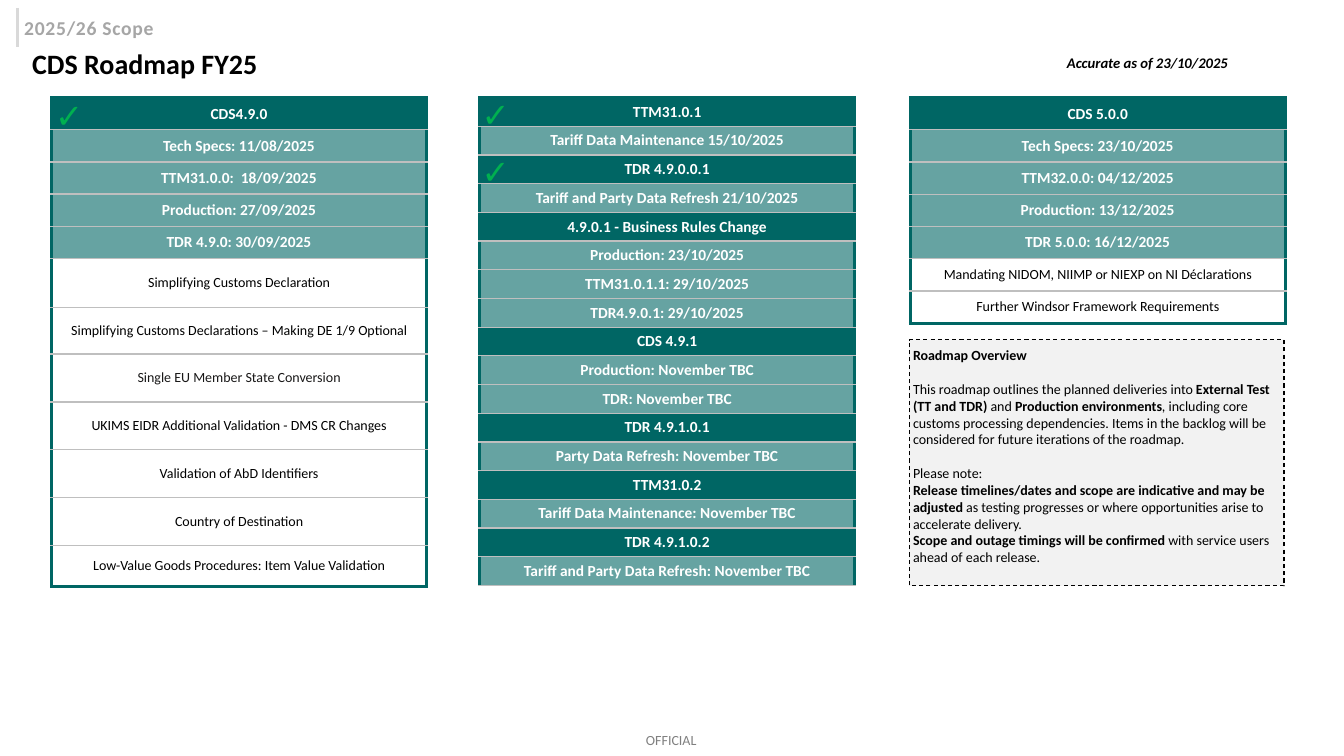
from dataclasses import dataclass, field
from typing import NamedTuple

from lxml.etree import SubElement
from pptx import Presentation
from pptx.dml.color import RGBColor
from pptx.dml.fill import FillFormat
from pptx.enum.dml import MSO_LINE
from pptx.enum.shapes import MSO_CONNECTOR, MSO_SHAPE
from pptx.enum.text import MSO_ANCHOR as Anchor, MSO_AUTO_SIZE as AutoSize, PP_ALIGN as Align
from pptx.oxml.ns import qn
from pptx.slide import Slide
from pptx.table import _Cell as Cell
from pptx.util import Cm, Pt

TEAL, GREY, BLACK, WHITE = "006664", "BFBFBF", "000000", "FFFFFF"
TABLE_TOP, TABLE_WIDTH = 2.46, 9.45
NO_INSETS = dict(margin_left=0, margin_top=0, margin_right=0, margin_bottom=0)


@dataclass
class Label:
    text: str
    left: float
    top: float
    width: float
    height: float
    colour: str
    font: dict
    opacity: int = 100
    spacing: int = 0
    frame: dict = field(default_factory=dict)


class RowStyle(NamedTuple):
    fill: str
    opacity: int
    colour: str
    font: dict


class Row(NamedTuple):
    style: str
    text: str


@dataclass
class Release:
    left: float
    heights: list[float]
    closed: bool
    rows: list[Row]


class Run(NamedTuple):
    text: str
    bold: bool = False


BOLD_ROW = dict(size=Pt(11), bold=True)
ITEM_ROW = dict(size=Pt(10), bold=False)
STYLES = {
    "heading": RowStyle(TEAL, 100, WHITE, BOLD_ROW),
    "date": RowStyle(TEAL, 60, WHITE, BOLD_ROW),
    "item": RowStyle(WHITE, 100, BLACK, ITEM_ROW),
    "soft item": RowStyle(WHITE, 100, "181717", ITEM_ROW),
}

LABELS = [
    Label("OFFICIAL", 16.28, 18.44, 1.35, 0.43, BLACK, dict(size=Pt(10)), opacity=50, frame=NO_INSETS),
    Label("2025/26 Scope", 0.36, 0.28, 4.09, 0.86, "A6A6A6", dict(size=Pt(14), bold=True),
          spacing=50, frame=dict(word_wrap=False)),
    Label("Accurate as of 23/10/2025", 26.64, 1.22, 7.09, 0.71, BLACK,
          dict(size=Pt(10.5), bold=True, italic=True)),
    Label("CDS Roadmap FY25", 0.56, 1.02, 29.92, 1.14, BLACK, dict(size=Pt(20), bold=True),
          frame=dict(vertical_anchor=Anchor.MIDDLE, auto_size=AutoSize.NONE)),
]
TICKS = [
    Label("✓", left, top, 1.7, 1.27, "00B050", dict(size=Pt(24), bold=True, name="Cabin"))
    for left, top in [(1.14, 2.26), (11.89, 2.24), (11.89, 3.68)]
]

RELEASES = [
    Release(1.3, [0.81] * 5 + [1.23, 1.18, 1.21, 1.2, 1.21, 1.2, 1.03], True, [
        Row("heading", "CDS4.9.0"),
        Row("date", "Tech Specs: 11/08/2025"),
        Row("date", "TTM31.0.0:  18/09/2025"),
        Row("date", "Production: 27/09/2025"),
        Row("date", "TDR 4.9.0: 30/09/2025"),
        Row("item", "Simplifying Customs Declaration"),
        Row("item", "Simplifying Customs Declarations – Making DE 1/9 Optional"),
        Row("soft item", "Single EU Member State Conversion"),
        Row("item", "UKIMS EIDR Additional Validation - DMS CR Changes"),
        Row("item", "Validation of AbD Identifiers"),
        Row("item", "Country of Destination"),
        Row("item", "Low-Value Goods Procedures: Item Value Validation"),
    ]),
    Release(12.09, [12.3 / 17] * 17, False, [
        Row("heading", "TTM31.0.1"),
        Row("date", "Tariff Data Maintenance 15/10/2025"),
        Row("heading", "TDR 4.9.0.0.1"),
        Row("date", "Tariff and Party Data Refresh 21/10/2025"),
        Row("heading", "4.9.0.1 - Business Rules Change"),
        Row("date", "Production: 23/10/2025"),
        Row("date", "TTM31.0.1.1: 29/10/2025"),
        Row("date", "TDR4.9.0.1: 29/10/2025"),
        Row("heading", "CDS 4.9.1"),
        Row("date", "Production: November TBC"),
        Row("date", "TDR: November TBC"),
        Row("heading", "TDR 4.9.1.0.1"),
        Row("date", "Party Data Refresh: November TBC"),
        Row("heading", "TTM31.0.2"),
        Row("date", "Tariff Data Maintenance: November TBC"),
        Row("heading", "TDR 4.9.1.0.2"),
        Row("date", "Tariff and Party Data Refresh: November TBC"),
    ]),
    Release(22.94, [5.69 / 7] * 7, True, [
        Row("heading", "CDS 5.0.0"),
        Row("date", "Tech Specs: 23/10/2025"),
        Row("date", "TTM32.0.0: 04/12/2025"),
        Row("date", "Production: 13/12/2025"),
        Row("date", "TDR 5.0.0: 16/12/2025"),
        Row("item", "Mandating NIDOM, NIIMP or NIEXP on NI Déclarations"),
        Row("item", "Further Windsor Framework Requirements"),
    ]),
]

# Overview paragraphs: space after in points, then runs
OVERVIEW = [
    (12, [Run("Roadmap Overview", True)]),
    (12, [Run("This roadmap outlines the planned deliveries into "), Run("External Test (TT and TDR)", True),
          Run(" and "), Run("Production environments", True),
          Run(", including core customs processing dependencies. Items in the backlog will be "
              "considered for future iterations of the roadmap.")]),
    (0, [Run("Please note:")]),
    (0, [Run("Release timelines/dates and scope are indicative and may be adjusted", True),
         Run(" as testing progresses or where opportunities arise to accelerate delivery.")]),
    (0, [Run("Scope and outage timings will be confirmed", True),
         Run(" with service users ahead of each release.")]),
]


def apply(target: object, values: dict) -> None:
    for name, value in values.items():
        setattr(target, name, value)


def paint(fill: FillFormat, colour: str, opacity: int = 100) -> None:
    fill.solid()
    fill.fore_color.rgb = RGBColor.from_string(colour)
    if opacity < 100:
        tint = fill._xPr.find(f"{qn('a:solidFill')}/{qn('a:srgbClr')}")
        SubElement(tint, qn("a:alpha"), val=str(opacity * 1000))


def add_run(paragraph, text: str, colour: str, font: dict, opacity: int = 100):
    run = paragraph.add_run()
    run.text = text
    apply(run.font, {"name": "Calibri", **font})
    paint(run.font.fill, colour, opacity)
    return run


def add_label(slide: Slide, label: Label) -> None:
    box = slide.shapes.add_textbox(Cm(label.left), Cm(label.top), Cm(label.width), Cm(label.height))
    apply(box.text_frame, {"word_wrap": True, "auto_size": AutoSize.SHAPE_TO_FIT_TEXT, **label.frame})
    run = add_run(box.text_frame.paragraphs[0], label.text, label.colour, label.font, label.opacity)
    if label.spacing:
        run._r.get_or_add_rPr().set("spc", str(label.spacing))


def add_borders(cell: Cell, first: bool, closing: bool) -> None:
    strong = {"L": True, "R": True, "T": first, "B": closing}
    for side, is_strong in strong.items():
        edge = SubElement(cell._tc.get_or_add_tcPr(), qn(f"a:ln{side}"), w=str(Pt(2.25 if is_strong else 1)))
        SubElement(SubElement(edge, qn("a:solidFill")), qn("a:srgbClr"), val=TEAL if is_strong else GREY)


def add_release(slide: Slide, release: Release) -> None:
    table = slide.shapes.add_table(len(release.rows), 1, Cm(release.left), Cm(TABLE_TOP),
                                   Cm(TABLE_WIDTH), Cm(sum(release.heights))).table
    apply(table, dict(first_row=False, horz_banding=False))
    for index, (row, height) in enumerate(zip(release.rows, release.heights)):
        table.rows[index].height = Cm(height)
        cell, style = table.cell(index, 0), STYLES[row.style]
        apply(cell, {**NO_INSETS, "vertical_anchor": Anchor.MIDDLE})
        add_borders(cell, index == 0, release.closed and index == len(release.rows) - 1)
        paint(cell.fill, style.fill, style.opacity)
        paragraph = cell.text_frame.paragraphs[0]
        paragraph.alignment = Align.CENTER
        add_run(paragraph, row.text, style.colour, style.font)


def add_overview(slide: Slide) -> None:
    overview = slide.shapes.add_shape(MSO_SHAPE.RECTANGLE, Cm(22.91), Cm(8.56), Cm(TABLE_WIDTH), Cm(6.2))
    overview.shadow.inherit = False
    paint(overview.fill, "F2F2F2")
    paint(overview.line.fill, BLACK)
    apply(overview.line, dict(width=Pt(0.75), dash_style=MSO_LINE.DASH))
    frame = overview.text_frame
    apply(frame, dict(word_wrap=True, vertical_anchor=Anchor.MIDDLE, margin_left=Cm(0.1),
                      margin_top=Cm(0.1), margin_right=Cm(0.1), margin_bottom=Cm(0.43)))
    for index, (space_after, runs) in enumerate(OVERVIEW):
        paragraph = frame.add_paragraph() if index else frame.paragraphs[0]
        apply(paragraph, dict(alignment=Align.LEFT, space_after=Pt(space_after)))
        for run in runs:
            add_run(paragraph, run.text, BLACK, dict(size=Pt(10), bold=run.bold))


def main() -> None:
    deck = Presentation()
    apply(deck, dict(slide_width=Cm(33.87), slide_height=Cm(19.05)))
    slide = deck.slides.add_slide(deck.slide_layouts[6])

    # Heading, accent line and footer
    accent = slide.shapes.add_connector(MSO_CONNECTOR.STRAIGHT, Cm(0.45), Cm(0.2), Cm(0.45), Cm(1.19))
    paint(accent.line.fill, "D9D9D9")
    accent.line.width = Pt(2.25)
    SubElement(accent._element.spPr, qn("a:effectLst"))
    for label in LABELS:
        add_label(slide, label)

    # Releases, overview and completion ticks
    for release in RELEASES:
        add_release(slide, release)
    add_overview(slide)
    for tick in TICKS:
        add_label(slide, tick)
    deck.save("out.pptx")


if __name__ == "__main__":
    main()
